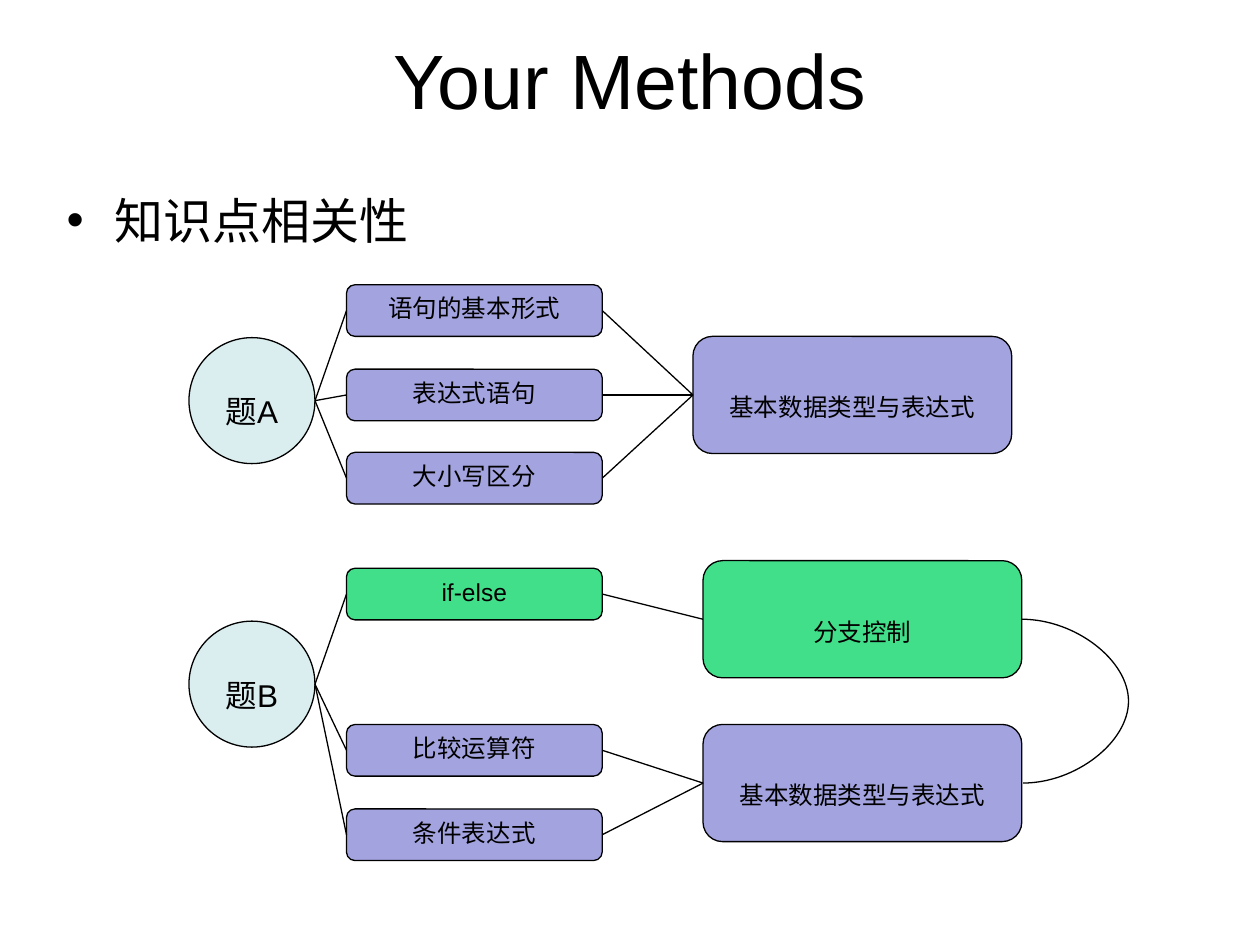
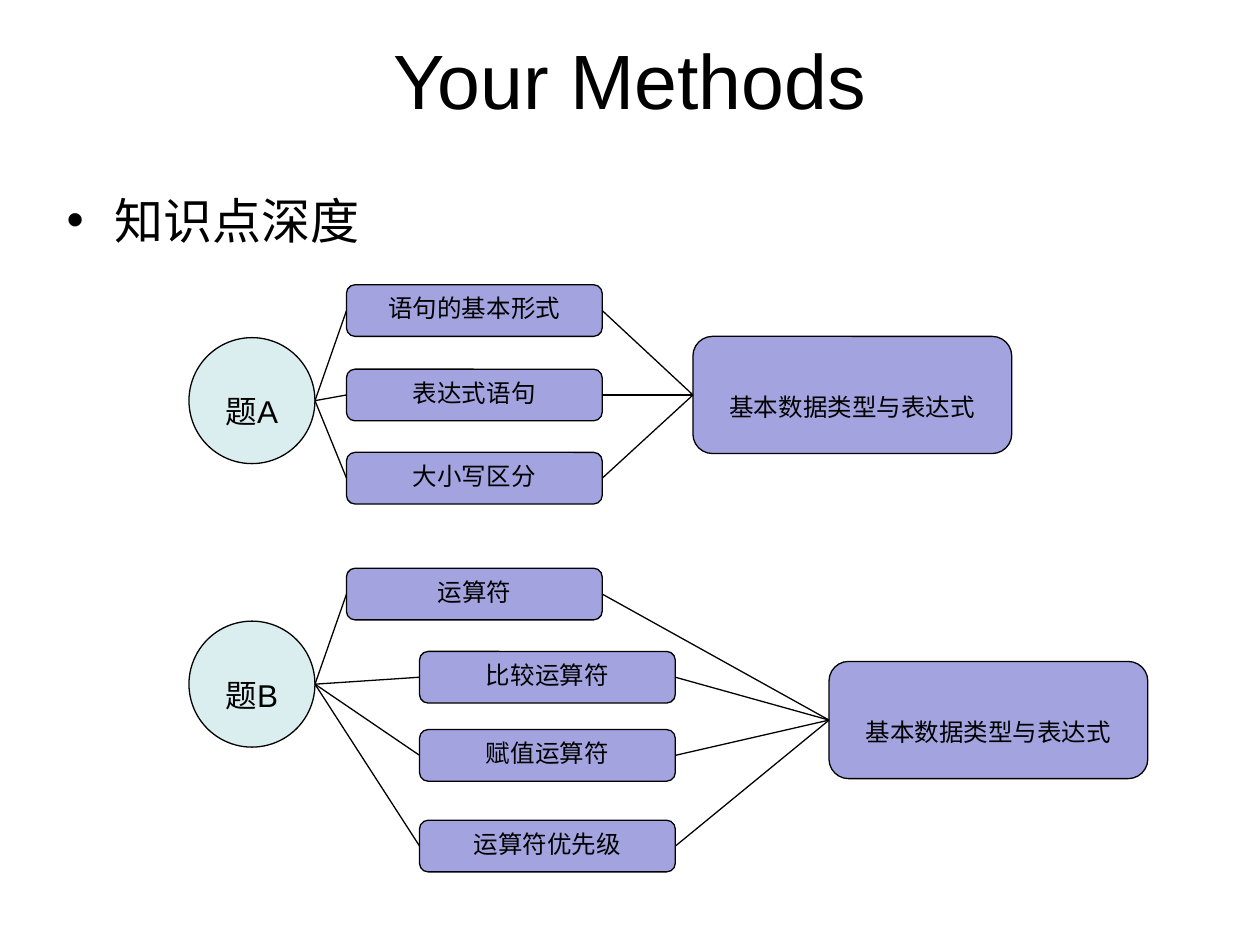
import pptx
import pptx.util
import pptx.dml.color
import pptx.enum.shapes
import pptx.enum.text
import lxml.etree
import pptx.oxml.ns

Inches = pptx.util.Inches
Pt = pptx.util.Pt
SHAPES = pptx.enum.shapes.MSO_SHAPE
CONNECTORS = pptx.enum.shapes.MSO_CONNECTOR
ANCHORS = pptx.enum.text.MSO_ANCHOR
CENTER = pptx.enum.text.PP_ALIGN.CENTER
color = pptx.dml.color.RGBColor.from_string
qn = pptx.oxml.ns.qn

# Shared look
FONT = "Arial"
BLACK, LAVENDER, GREEN, PALE_BLUE = "000000", "A3A3E0", "42DF8A", "DAEDEF"
LINE_WIDTH = Pt(0.75)

# Grid in inches: columns, and sizes of each kind of node
QUESTION_LEFT, TOPIC_LEFT, SUBTOPIC_LEFT = 1.5, 2.75, 3.33
QUESTION_SIZE = 1
TOPIC_WIDTH, TOPIC_HEIGHT = 2.03, 0.41
CONCEPT_WIDTH, CONCEPT_HEIGHT = 2.53, 0.93
CURVE_BULGE = 0.86

# Each question: name, top, concepts
# Each concept: name, left, top, fill, its topics (name, left, top)
BASICS = "基本数据类型与表达式"
question_a = ("题A", 2.68, [
    (BASICS, 5.5, 2.67, LAVENDER, [
        ("语句的基本形式", TOPIC_LEFT, 2.26),
        ("表达式语句", TOPIC_LEFT, 2.93),
        ("大小写区分", TOPIC_LEFT, 3.59)])])
related_b = ("题B", 4.93, [
    ("分支控制", 5.58, 4.45, GREEN, [
        ("if-else", TOPIC_LEFT, 4.51)]),
    (BASICS, 5.58, 5.75, LAVENDER, [
        ("比较运算符", TOPIC_LEFT, 5.75),
        ("条件表达式", TOPIC_LEFT, 6.42)])])
deep_b = ("题B", 4.93, [
    (BASICS, 6.58, 5.25, LAVENDER, [
        ("运算符", TOPIC_LEFT, 4.51),
        ("比较运算符", SUBTOPIC_LEFT, 5.17),
        ("赋值运算符", SUBTOPIC_LEFT, 5.79),
        ("运算符优先级", SUBTOPIC_LEFT, 6.51)])])
pages = [("知识点相关性", [question_a, related_b]),
         ("知识点深度", [question_a, deep_b])]


def add_node(page, kind, box, fill, text, size=14, spacing=1.0):
    node = page.shapes.add_shape(kind, *map(Inches, box))
    node.shadow.inherit = False
    node.fill.solid()
    node.fill.fore_color.rgb = color(fill)
    node.line.color.rgb = color(BLACK)
    node.line.width = LINE_WIDTH
    node.text_frame.vertical_anchor = ANCHORS.TOP
    para = node.text_frame.paragraphs[0]
    para.alignment = CENTER
    para.line_spacing = spacing
    span = para.add_run()
    span.text = text
    span.font.name = FONT
    span.font.size = Pt(size)
    span.font.color.rgb = color(BLACK)


def add_link(page, start, end, kind=CONNECTORS.STRAIGHT):
    link = page.shapes.add_connector(kind, *map(Inches, start + end))
    link.line.color.rgb = color(BLACK)
    link.line.width = LINE_WIDTH
    lxml.etree.SubElement(link._element.spPr, qn("a:effectLst"))
    return link


deck = pptx.Presentation()
deck.slide_width, deck.slide_height = Inches(10), Inches(7.5)

for heading, questions in pages:
    page = deck.slides.add_slide(deck.slide_layouts[5])

    # Title
    title = page.shapes.title
    title.left, title.top = Inches(0.5), 0
    title.width, title.height = Inches(9), Inches(1.25)
    title.text_frame.vertical_anchor = ANCHORS.MIDDLE
    para = title.text_frame.paragraphs[0]
    para.alignment = CENTER
    title_span = para.add_run()
    title_span.text = "Your Methods"
    title_span.font.size = Pt(44)

    # Bulleted heading
    body = page.shapes.add_textbox(*map(Inches, (0.43, 1.08, 9.49, 5.2)))
    body.text_frame.word_wrap = True
    body.text_frame.margin_top = Inches(0.43)
    para = body.text_frame.paragraphs[0]
    properties = para._p.get_or_add_pPr()
    properties.set("marL", str(Inches(0.38)))
    properties.set("indent", str(-Inches(0.38)))
    lxml.etree.SubElement(properties, qn("a:buFont"), typeface=FONT)
    lxml.etree.SubElement(properties, qn("a:buChar"), char="•")
    heading_span = para.add_run()
    heading_span.text = heading
    heading_span.font.size = Pt(28)

    for span in (title_span, heading_span):
        span.font.name = FONT
        span.font.color.rgb = color(BLACK)

    # Questions, linked through topics to concepts
    for question, question_top, concepts in questions:
        add_node(page, SHAPES.OVAL,
                 (QUESTION_LEFT, question_top, QUESTION_SIZE, QUESTION_SIZE),
                 PALE_BLUE, question, size=18, spacing=1.8)
        question_port = (QUESTION_LEFT + QUESTION_SIZE,
                         question_top + QUESTION_SIZE / 2)
        concept_ends = []
        for concept, left, top, fill, topics in concepts:
            add_node(page, SHAPES.ROUNDED_RECTANGLE,
                     (left, top, CONCEPT_WIDTH, CONCEPT_HEIGHT),
                     fill, concept, spacing=2.5)
            concept_middle = top + CONCEPT_HEIGHT / 2
            concept_ends.append((left + CONCEPT_WIDTH, concept_middle))
            for topic, topic_left, topic_top in topics:
                add_node(page, SHAPES.ROUNDED_RECTANGLE,
                         (topic_left, topic_top, TOPIC_WIDTH, TOPIC_HEIGHT),
                         fill, topic)
                topic_middle = topic_top + TOPIC_HEIGHT / 2
                add_link(page, question_port, (topic_left, topic_middle))
                add_link(page, (topic_left + TOPIC_WIDTH, topic_middle),
                         (left, concept_middle))

        # Curve joining neighbouring concepts; its bulge is a share of its width
        for (x, start_y), (_, end_y) in zip(concept_ends, concept_ends[1:]):
            width = 0.01
            curve = add_link(page, (x, start_y), (x + width, end_y),
                             CONNECTORS.CURVE)
            guides = curve._element.spPr.find(qn("a:prstGeom")).get_or_add_avLst()
            lxml.etree.SubElement(guides, qn("a:gd"), name="adj1",
                                  fmla=f"val {round(CURVE_BULGE / width * 100000)}")

deck.save("out.pptx")
